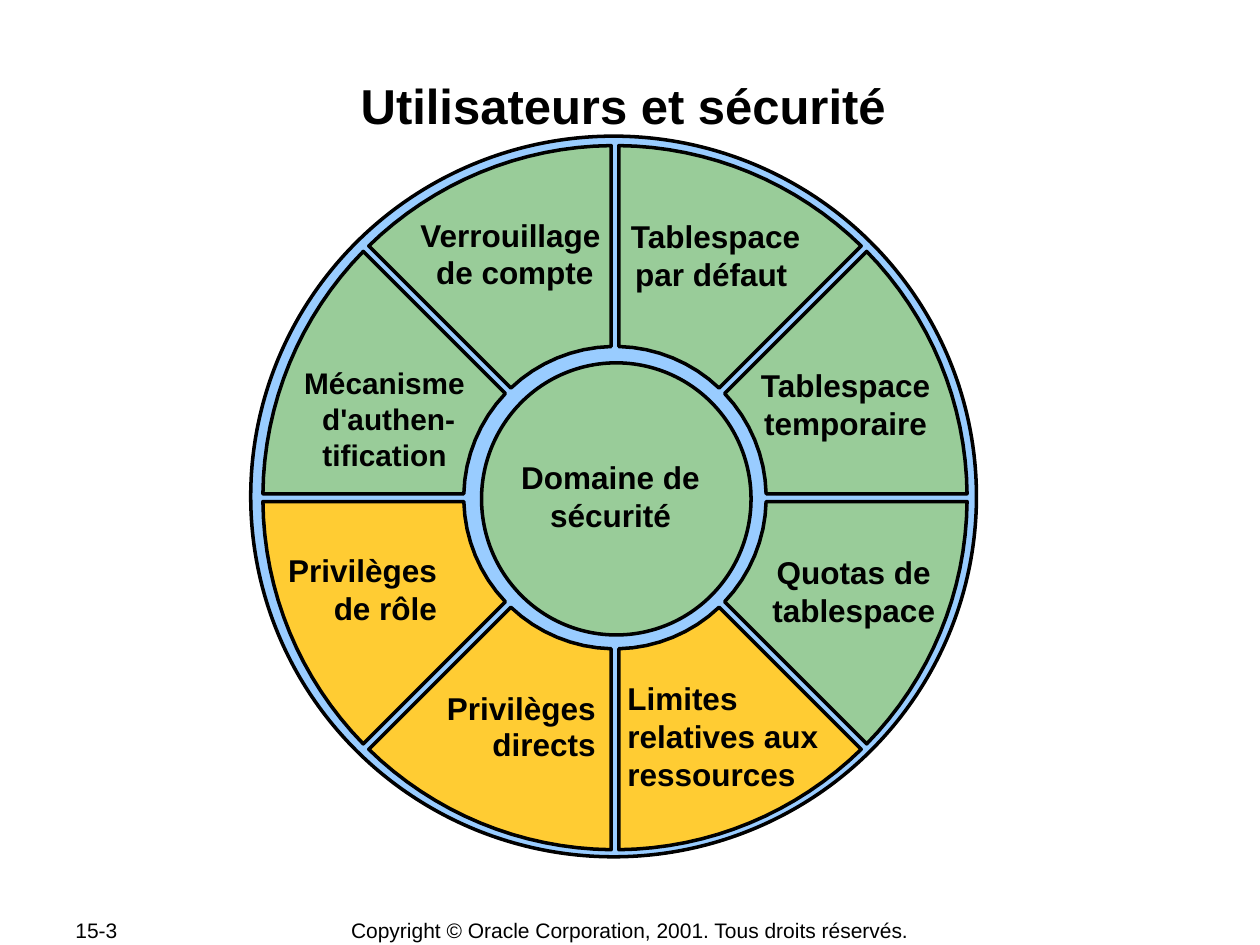
import math
from dataclasses import dataclass

import pptx
import pptx.dml.color
import pptx.enum.shapes
import pptx.enum.text
import pptx.util

Pt = pptx.util.Pt
RGB = pptx.dml.color.RGBColor.from_string
ALIGN = pptx.enum.text.PP_ALIGN
ANCHOR = pptx.enum.text.MSO_ANCHOR
LEFT, CENTER, RIGHT = ALIGN.LEFT, ALIGN.CENTER, ALIGN.RIGHT


@dataclass(frozen=True)
class Theme:
    font: str = "Arial"
    ink: str = "000000"
    rim: str = "99CCFF"
    green: str = "99CC99"
    gold: str = "FFCC33"
    title: float = 28
    label: float = 18
    small_label: float = 17
    footer: float = 12
    outline: float = 2


T = Theme()

# Clockwise from twelve o'clock: fill, then label lines, left, top, width,
# height (from the wheel's corner) and label options. "\n" is a line break.
SECTORS = [
    (T.green, ["Tablespace\npar défaut "], (209.5, 42.8, 112.3, 50.4), {}),
    (T.green, ["Tablespace ", "temporaire "], (283.7, 128.1, 117.4, 50.4), {}),
    (T.green, ["Quotas de ", "tablespace "], (290.9, 234.7, 112.3, 50.4), {}),
    (T.gold, ["Limites", "relatives aux", "ressources"],
     (208.1, 306.7, 128.9, 72), {"align": LEFT}),
    (T.gold, ["Privilèges ", "directs "], (101.3, 312.8, 104.4, 50.4),
     {"align": RIGHT, "anchor": ANCHOR.MIDDLE, "inset": 3.6, "spacing": 0.95}),
    (T.gold, ["Privilèges ", "de rôle "], (8.3, 233.6, 110.2, 50.4),
     {"align": RIGHT, "wrap": True}),
    (T.green, ["Mécanisme ", "d'authen-", "tification "],
     (23.4, 127.2, 110.9, 68.4), {"size": T.small_label}),
    (T.green, ["Verrouillage", " de compte"], (89, 41.9, 118.8, 50.4), {}),
]
HUB_LABEL = (["Domaine de ", "sécurité "], (147.2, 180.4, 121.7, 50.4))


def add_text(s, lines, box, size=T.label, bold=True, align=CENTER,
             anchor=ANCHOR.TOP, inset=7.2, wrap=False, spacing=None):
    tf = s.shapes.add_textbox(*map(Pt, box)).text_frame
    tf.word_wrap = wrap
    tf.vertical_anchor = anchor
    tf.margin_left = tf.margin_right = Pt(inset)
    tf.margin_top = tf.margin_bottom = Pt(min(inset, 3.6))
    for i, line in enumerate(lines):
        p = tf.add_paragraph() if i else tf.paragraphs[0]
        p.alignment = align
        if spacing:
            p.line_spacing = spacing
        for j, part in enumerate(line.split("\n")):
            if j:
                p.add_line_break()
            r = p.add_run()
            r.text = part
            r.font.name = T.font
            r.font.size = Pt(size)
            r.font.bold = bold
            r.font.color.rgb = RGB(T.ink)


def paint(sp, fill):
    sp.shadow.inherit = False
    sp.fill.solid()
    sp.fill.fore_color.rgb = RGB(fill)
    sp.line.color.rgb = RGB(T.ink)
    sp.line.width = Pt(T.outline)


def add_disc(s, cx, cy, w, h, fill):
    sp = s.shapes.add_shape(pptx.enum.shapes.MSO_SHAPE.OVAL,
                            Pt(cx - w / 2), Pt(cy - h / 2), Pt(w), Pt(h))
    paint(sp, fill)


def arc(cx, cy, radius, start, end, half_gap, steps):
    """Points clockwise from start to end, trimmed by half_gap at both ends."""
    trim = math.asin(half_gap / radius)
    start, end = start + trim, end - trim
    angles = [start + (end - start) * i / steps for i in range(steps + 1)]
    return [(Pt(cx + radius * math.sin(a)), Pt(cy - radius * math.cos(a)))
            for a in angles]


def add_sector(s, cx, cy, start, end, fill):
    outer = arc(cx, cy, 201.2, start, end, 2.2, 16)
    inner = arc(cx, cy, 86.4, start, end, 2.2, 8)
    fb = s.shapes.build_freeform(*outer[0])
    fb.add_line_segments(outer[1:] + inner[::-1], close=True)
    paint(fb.convert_to_shape(), fill)


def add_wheel(s, x, y, w, h):
    cx, cy = x + w / 2, y + h / 2
    add_disc(s, cx, cy, w, h, T.rim)
    step = 2 * math.pi / len(SECTORS)
    for i, (fill, *_) in enumerate(SECTORS):
        add_sector(s, cx + 0.8, cy + 0.7, i * step, (i + 1) * step, fill)
    add_disc(s, cx + 1.5, cy + 1.4, 154, 155.5, T.green)

    labels = [sector[1:] for sector in SECTORS] + [(*HUB_LABEL, {})]
    for lines, (dx, dy, lw, lh), options in labels:
        add_text(s, lines, (x + dx, y + dy, lw, lh), **options)


def add_title(s, box):
    add_text(s, ["Utilisateurs et sécurité "], box, size=T.title,
             inset=0.7, wrap=True)


def add_footer(s, x, y, w, h):
    """Page number at the left edge, copyright line centred in the box."""
    style = {"size": T.footer, "bold": False, "anchor": ANCHOR.MIDDLE}
    number_w, copyright_w = 76, 380
    add_text(s, ["15-3"], (x, y, number_w, h), align=LEFT, **style)
    add_text(s, ["Copyright © Oracle Corporation, 2001. Tous droits réservés."],
             (x + (w - copyright_w) / 2, y, copyright_w, h), **style)


def main():
    prs = pptx.Presentation()
    prs.slide_width, prs.slide_height = Pt(720), Pt(540)
    s = prs.slides.add_slide(prs.slide_layouts[6])
    add_footer(s, 36, 524.2, 648, 15)
    add_wheel(s, 143.3, 77.8, 414.7, 411.8)
    add_title(s, (72, 42.6, 576, 69))
    prs.save("out.pptx")


if __name__ == "__main__":
    main()
